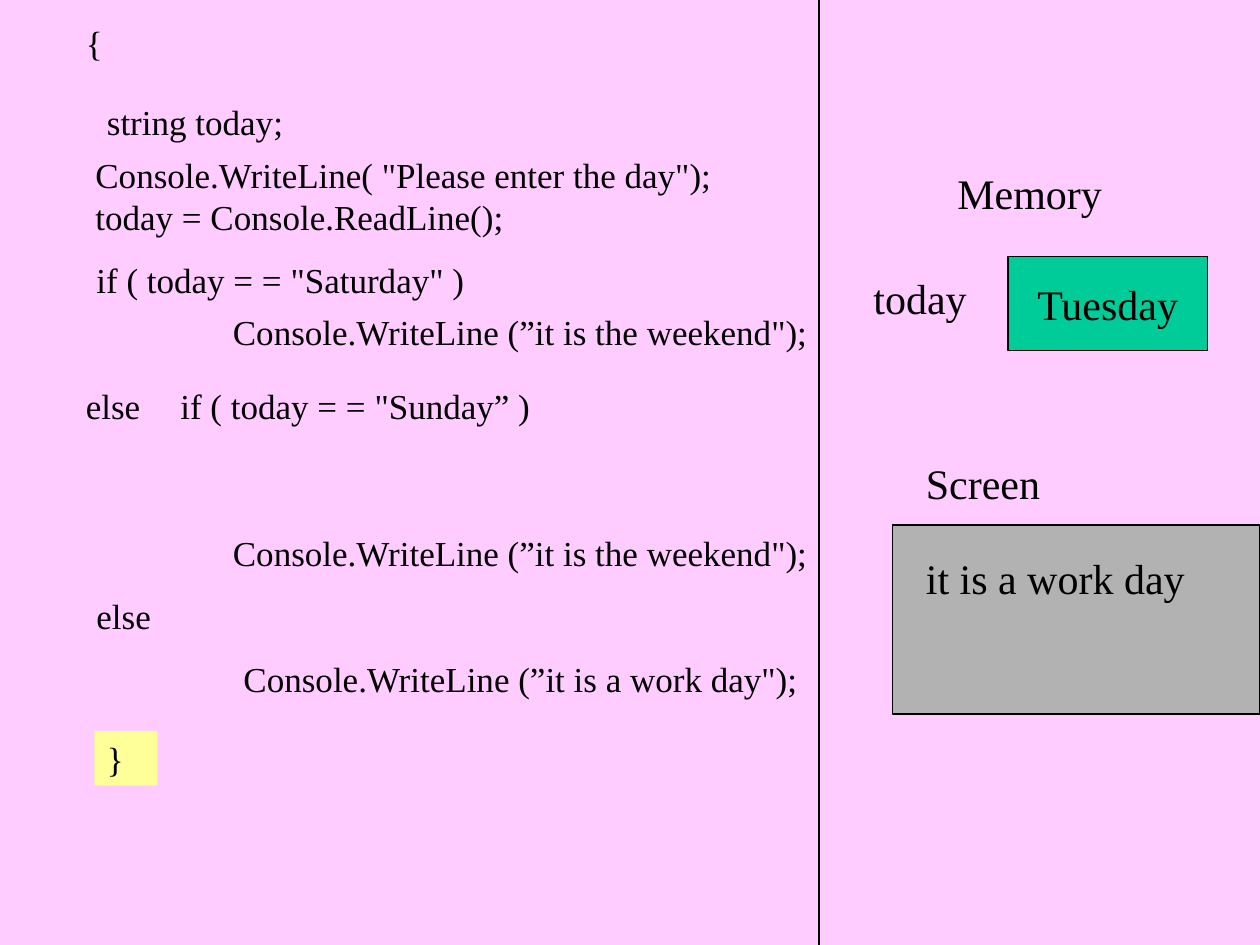
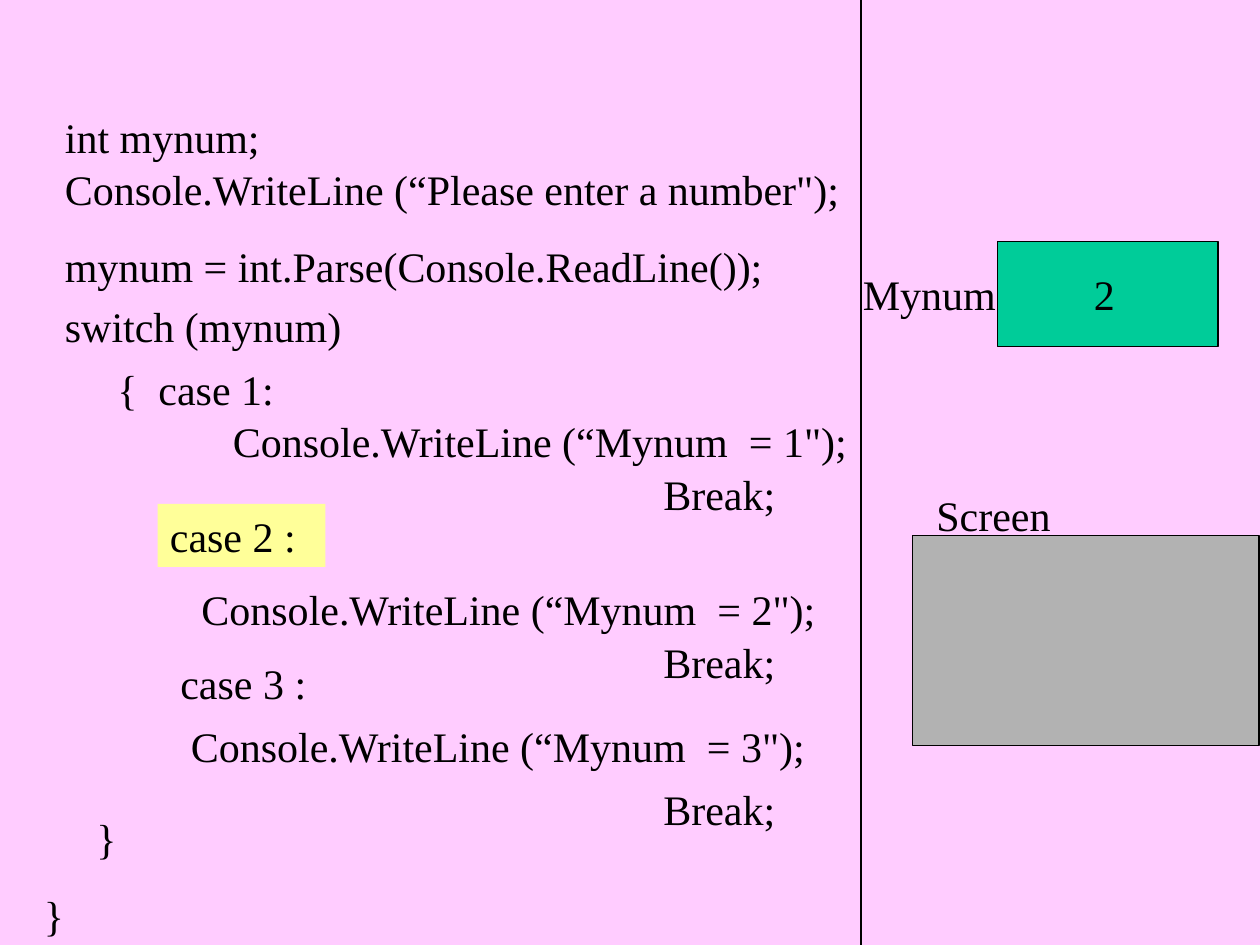
from dataclasses import dataclass

from lxml import etree
from pptx import Presentation
from pptx.dml.color import RGBColor
from pptx.enum.shapes import MSO_CONNECTOR, MSO_SHAPE
from pptx.enum.text import MSO_ANCHOR, MSO_AUTO_SIZE, PP_ALIGN
from pptx.oxml.ns import qn
from pptx.util import Inches, Pt

STRAIGHT = MSO_CONNECTOR.STRAIGHT
RECTANGLE = MSO_SHAPE.RECTANGLE
TOP, MIDDLE = MSO_ANCHOR.TOP, MSO_ANCHOR.MIDDLE
GROW, FIXED = MSO_AUTO_SIZE.SHAPE_TO_FIT_TEXT, MSO_AUTO_SIZE.NONE
LEFT, CENTER = PP_ALIGN.LEFT, PP_ALIGN.CENTER

# Grid: twelve columns and twelve rows to the inch
COLUMNS, ROWS = 120, 90
CELL = Inches(1) // 12
FONT_NAME = "Times New Roman"
SMALL, LARGE = 20, 24
LINE_WIDTH = 0.75
LINE_SPACING = 1.2
MARGIN = 0.05
COLORS = {
    "background": "FFCCFF",
    "text": "000000",
    "line": "000000",
    "memory": "00CC99",
    "screen": "B2B2B2",
    "highlight": "FFFF99",
}


@dataclass(frozen=True)
class Label:
    """Text on the grid; the height follows from its lines."""
    text: str
    column: float
    row: float
    columns: float
    size: int = LARGE
    gap: float = 0
    highlighted: bool = False


@dataclass(frozen=True)
class Panel:
    """Outlined box on the grid, with an optional centred value."""
    color: str
    column: float
    row: float
    columns: float
    rows: float
    text: str = ""


@dataclass(frozen=True)
class Page:
    divider: float
    panels: list[Panel]
    labels: list[Label]


def color(name: str) -> RGBColor:
    return RGBColor.from_string(COLORS[name])


def cells(count: float) -> int:
    return round(count * CELL)


def set_text(shape, text: str, size: int, gap: float = 0,
             alignment=LEFT, **frame_format) -> None:
    frame = shape.text_frame
    frame.text = text
    for name, value in frame_format.items():
        setattr(frame, name, value)
    for index, paragraph in enumerate(frame.paragraphs):
        paragraph.alignment = alignment
        if index:
            paragraph.space_before = Pt(gap)
        font_format = {"name": FONT_NAME, "size": Pt(size)}
        for name, value in font_format.items():
            setattr(paragraph.font, name, value)
        paragraph.font.color.rgb = color("text")


def draw_panel(slide, panel: Panel) -> None:
    shape = slide.shapes.add_shape(
        RECTANGLE, cells(panel.column), cells(panel.row),
        cells(panel.columns), cells(panel.rows))
    shape.shadow.inherit = False
    shape.fill.solid()
    shape.fill.fore_color.rgb = color(panel.color)
    shape.line.color.rgb = color("line")
    shape.line.width = Pt(LINE_WIDTH)
    if panel.text:
        set_text(shape, panel.text, LARGE, alignment=CENTER,
                 word_wrap=False, auto_size=FIXED, vertical_anchor=MIDDLE)


def draw_label(slide, label: Label) -> None:
    breaks = label.text.count("\n")
    points = (breaks + 1) * label.size * LINE_SPACING + breaks * label.gap
    shape = slide.shapes.add_textbox(
        cells(label.column), cells(label.row), cells(label.columns),
        Pt(points) + Inches(2 * MARGIN))
    if label.highlighted:
        shape.fill.solid()
        shape.fill.fore_color.rgb = color("highlight")
    set_text(shape, label.text, label.size, label.gap,
             word_wrap=True, auto_size=GROW, vertical_anchor=TOP)


def draw_divider(slide, column: float) -> None:
    line = slide.shapes.add_connector(
        STRAIGHT, cells(column), cells(ROWS), cells(column), 0)
    line.line.color.rgb = color("line")
    line.line.width = Pt(LINE_WIDTH)
    etree.SubElement(line._element.spPr, qn("a:effectLst"))


def draw_page(presentation, page: Page) -> None:
    slide = presentation.slides.add_slide(presentation.slide_layouts[6])
    slide.background.fill.solid()
    slide.background.fill.fore_color.rgb = color("background")
    draw_divider(slide, page.divider)
    for panel in page.panels:
        draw_panel(slide, panel)
    for label in page.labels:
        draw_label(slide, label)


# Nested if statement
IF_PAGE = Page(
    divider=78,
    panels=[
        Panel("memory", 96, 24.4, 19, 9, "Tuesday"),
        Panel("screen", 85, 50, 35, 18),
    ],
    labels=[
        Label("Memory", 90, 15.4, 22),
        Label("today", 82, 25.4, 14),
        Label("Screen", 87, 43, 27),
        Label("it is a work day", 87, 52, 33),
        Label("{", 7, 1.5, 51, SMALL),
        Label("string today;", 9, 9, 34, SMALL),
        Label('Console.WriteLine( "Please enter the day");\n'
              "today = Console.ReadLine();", 7.9, 14, 62, SMALL),
        Label('if ( today = = "Saturday" )', 8, 24, 44, SMALL),
        Label('Console.WriteLine (”it is the weekend");', 21, 29, 61, SMALL),
        Label("else", 7, 36, 11, SMALL),
        Label('if ( today = = "Sunday” )', 16, 36, 42, SMALL),
        Label('Console.WriteLine (”it is the weekend");', 21, 50, 61, SMALL),
        Label("else", 8, 56, 14, SMALL),
        Label('Console.WriteLine (”it is a work day");', 22, 62, 57, SMALL),
        Label("}", 9, 69.6, 6, SMALL, highlighted=True),
    ],
)

# Switch statement
SWITCH_PAGE = Page(
    divider=82,
    panels=[
        Panel("memory", 95, 23, 21, 10),
        Panel("screen", 86.9, 51, 33, 20),
    ],
    labels=[
        Label("Mynum", 81, 25, 17),
        Label("2", 103, 25, 6),
        Label("Screen", 88, 46, 32),
        Label("int mynum;", 5, 10, 21),
        Label('Console.WriteLine (“Please enter a number");\n'
              "mynum = int.Parse(Console.ReadLine());", 5, 15, 78, gap=15),
        Label("switch (mynum)", 5, 28, 31),
        Label("{  case 1:", 10, 34, 24),
        Label('Console.WriteLine (“Mynum  = 1");', 21, 39, 66),
        Label("case 2 :", 15, 48, 16, highlighted=True),
        Label('Console.WriteLine (“Mynum  = 2");', 18, 55, 62),
        Label("case 3 :", 16, 62, 17),
        Label('Console.WriteLine (“Mynum  = 3");', 17, 68, 63),
        Label("     }\n}", 3, 76.8, 16, gap=15),
        *(Label("Break;", 62, row, 14) for row in (44, 60, 74)),
    ],
)


def main() -> None:
    presentation = Presentation()
    presentation.slide_width = cells(COLUMNS)
    presentation.slide_height = cells(ROWS)
    for page in (IF_PAGE, SWITCH_PAGE):
        draw_page(presentation, page)
    presentation.save("out.pptx")


if __name__ == "__main__":
    main()
